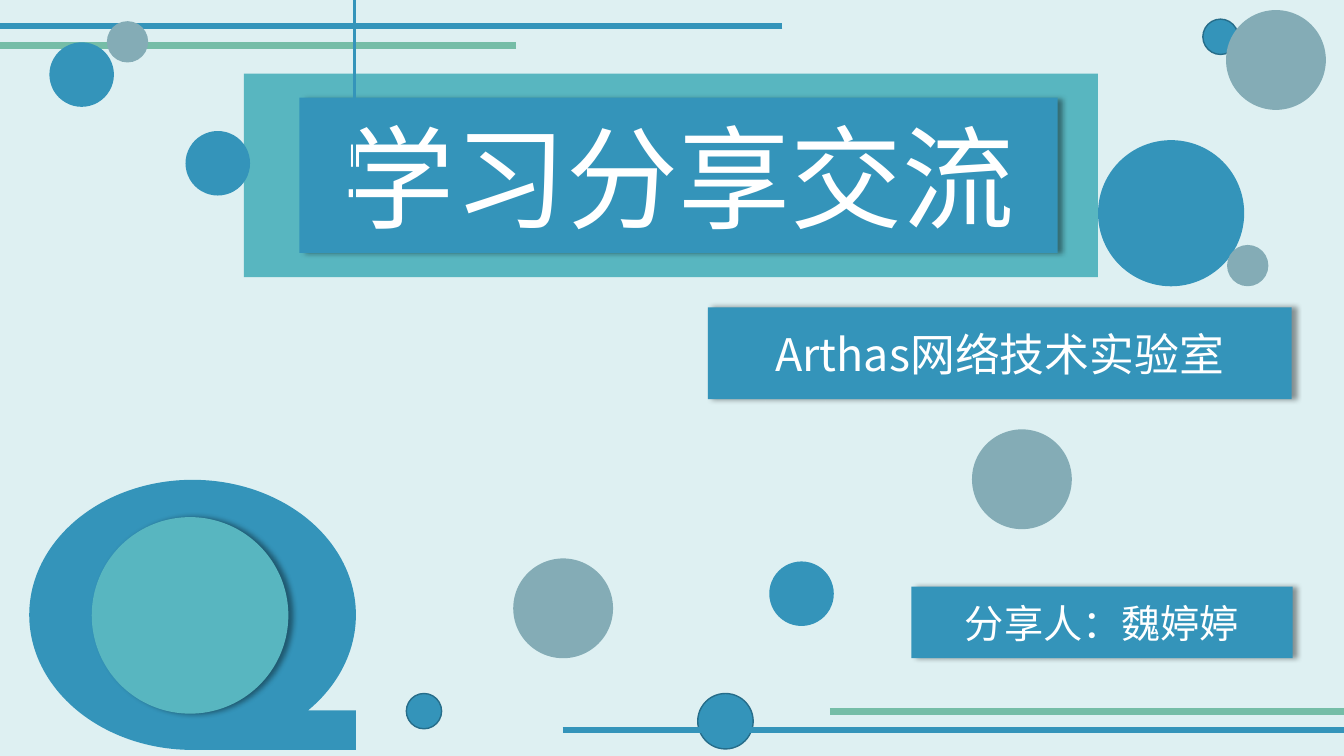
from dataclasses import dataclass

from lxml import etree
from pptx import Presentation
from pptx.dml.color import RGBColor
from pptx.enum import shapes, text
from pptx.oxml import ns, parse_xml
from pptx.util import Inches, Pt


@dataclass(frozen=True)
class Theme:
    background: str = "DEF0F2"
    blue: str = "3494BA"
    dark_blue: str = "266D8A"
    teal: str = "58B6C0"
    green: str = "75BDA7"
    gray: str = "84ACB6"
    white: str = "FFFFFF"
    font: str = "Noto Sans CJK SC"
    title_size: int = 80
    lab_size: int = 32
    speaker_size: int = 28
    rule_width: float = 4.5
    hanger_width: float = 2.25
    outline_width: float = 1


THEME = Theme()
# Diameter, fill and outline of each bubble size
BUBBLES = {
    "dot": (0.35, THEME.blue, THEME.dark_blue),
    "ring": (0.55, THEME.blue, THEME.dark_blue),
    "pebble": (0.41, THEME.gray, None),
    "ball": (0.64, THEME.blue, None),
    "stone": (0.99, THEME.gray, None),
    "globe": (1.45, THEME.blue, None),
}


def rgb(color):
    return RGBColor.from_string(color)


def add_shadow(shape):
    """Give the shape a soft shadow towards the right."""
    shape._element.spPr.append(parse_xml(
        f'<a:effectLst {ns.nsdecls("a")}>'
        f'<a:outerShdw blurRad="{Pt(4)}" dist="{Pt(3)}" dir="0" algn="l" rotWithShape="0">'
        '<a:srgbClr val="000000"><a:alpha val="40000"/></a:srgbClr>'
        '</a:outerShdw></a:effectLst>'))


def add_figure(page, kind, left, top, width, height, fill, outline=None, shadow=False):
    shape = page.shapes.add_shape(
        kind, Inches(left), Inches(top), Inches(width), Inches(height))
    shape.fill.solid()
    shape.fill.fore_color.rgb = rgb(fill)
    if outline:
        shape.line.color.rgb = rgb(outline)
        shape.line.width = Pt(THEME.outline_width)
    else:
        shape.line.fill.background()
    if shadow:
        add_shadow(shape)
    else:
        shape.shadow.inherit = False
    return shape


def add_banner(page, words, left, top, width, height, size):
    box = add_figure(page, shapes.MSO_SHAPE.RECTANGLE, left, top, width, height,
                     THEME.blue, shadow=True)
    frame = box.text_frame
    frame.word_wrap = True
    frame.vertical_anchor = text.MSO_ANCHOR.MIDDLE
    para = frame.paragraphs[0]
    para.alignment = text.PP_ALIGN.CENTER
    span = para.add_run()
    span.text = words
    span.font.size = Pt(size)
    span.font.name = THEME.font
    span.font.color.rgb = rgb(THEME.white)
    east_asian = etree.SubElement(span.font._element, ns.qn("a:ea"))
    east_asian.set("typeface", THEME.font)


def add_rule(page, start, end, color, width=THEME.rule_width):
    rule = page.shapes.add_connector(
        shapes.MSO_CONNECTOR.STRAIGHT, *map(Inches, start + end))
    rule.line.color.rgb = rgb(color)
    rule.line.width = Pt(width)
    etree.SubElement(rule._element.spPr, ns.qn("a:effectLst"))


def add_bubbles(page, *bubbles):
    for size, left, top in bubbles:
        diameter, fill, outline = BUBBLES[size]
        add_figure(page, shapes.MSO_SHAPE.OVAL, left, top, diameter, diameter,
                   fill, outline)


def main():
    deck = Presentation()
    deck.slide_width, deck.slide_height = Inches(13.33), Inches(7.5)
    page = deck.slides.add_slide(deck.slide_layouts[6])
    page.background.fill.solid()
    page.background.fill.fore_color.rgb = rgb(THEME.background)

    add_rule(page, (5.12, 0.45), (0, 0.45), THEME.green)
    add_rule(page, (7.76, 0.26), (0, 0.26), THEME.blue)

    add_figure(page, shapes.MSO_SHAPE.RECTANGLE, 2.42, 0.73, 8.47, 2.02, THEME.teal)
    add_banner(page, "学习分享交流", 2.97, 0.97, 7.52, 1.54, THEME.title_size)
    add_rule(page, (3.52, -0.21), (3.52, 1.99), THEME.blue, THEME.hanger_width)

    add_figure(page, shapes.MSO_SHAPE.FLOWCHART_SEQUENTIAL_ACCESS_STORAGE,
               0.29, 4.76, 3.24, 2.68, THEME.blue)
    add_figure(page, shapes.MSO_SHAPE.OVAL, 0.91, 5.13, 1.95, 1.95, THEME.teal,
               shadow=True)

    add_bubbles(
        page,
        ("globe", 10.89, 1.39), ("stone", 9.64, 4.26), ("ball", 7.63, 5.57),
        ("ring", 6.92, 6.88), ("stone", 5.09, 5.54), ("pebble", 12.17, 2.43),
        ("dot", 4.03, 6.88), ("ball", 0.49, 0.42), ("pebble", 1.06, 0.21),
        ("ball", 1.84, 1.3), ("dot", 11.93, 0.19), ("stone", 12.16, 0.1))

    add_rule(page, (8.23, 7.06), (13.33, 7.06), THEME.green)
    add_rule(page, (5.58, 7.24), (13.33, 7.24), THEME.blue)

    add_banner(page, "Arthas网络技术实验室", 7.02, 3.05, 5.79, 0.91, THEME.lab_size)
    add_banner(page, "分享人：魏婷婷", 9.04, 5.82, 3.78, 0.71, THEME.speaker_size)

    deck.save("out.pptx")


if __name__ == "__main__":
    main()
